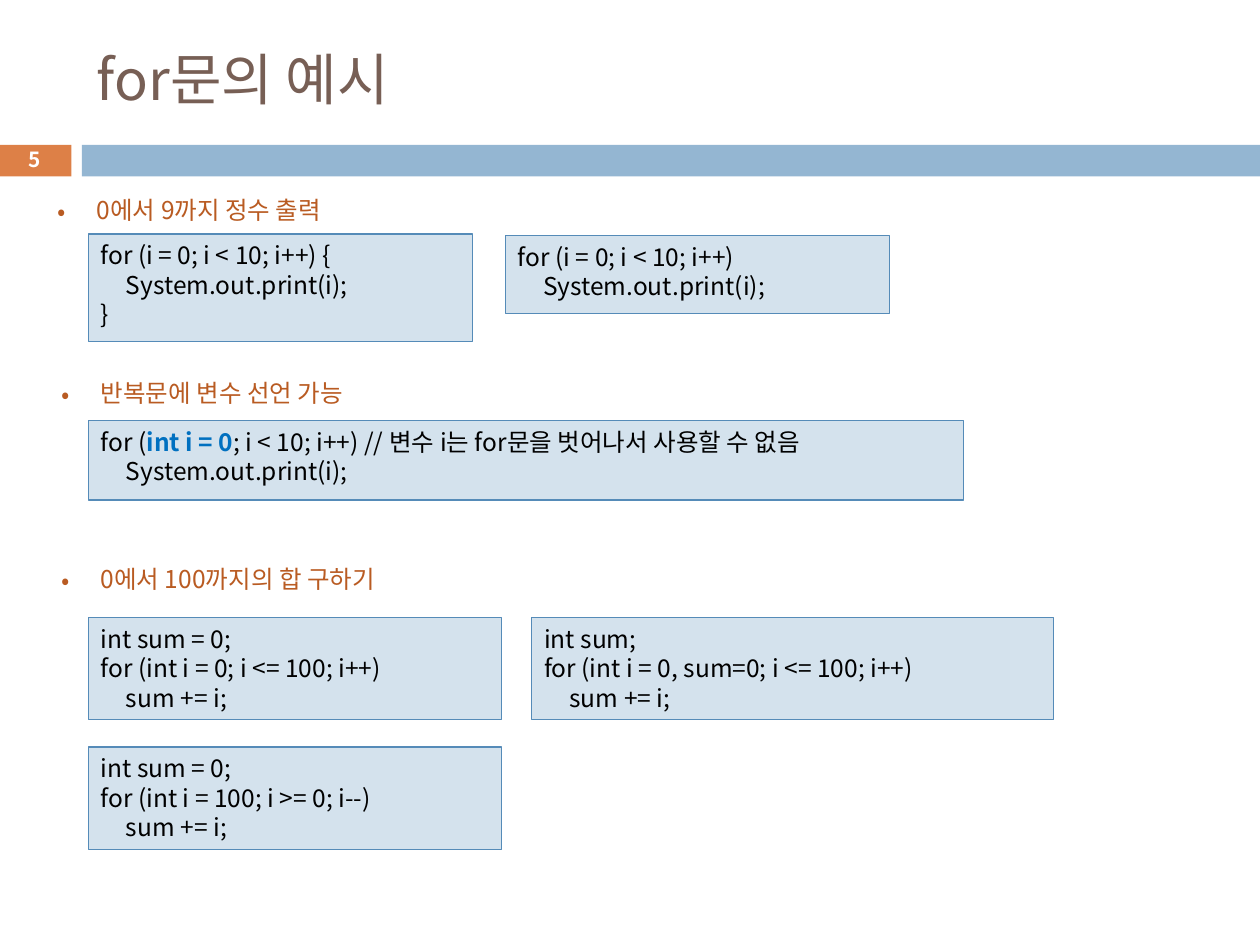
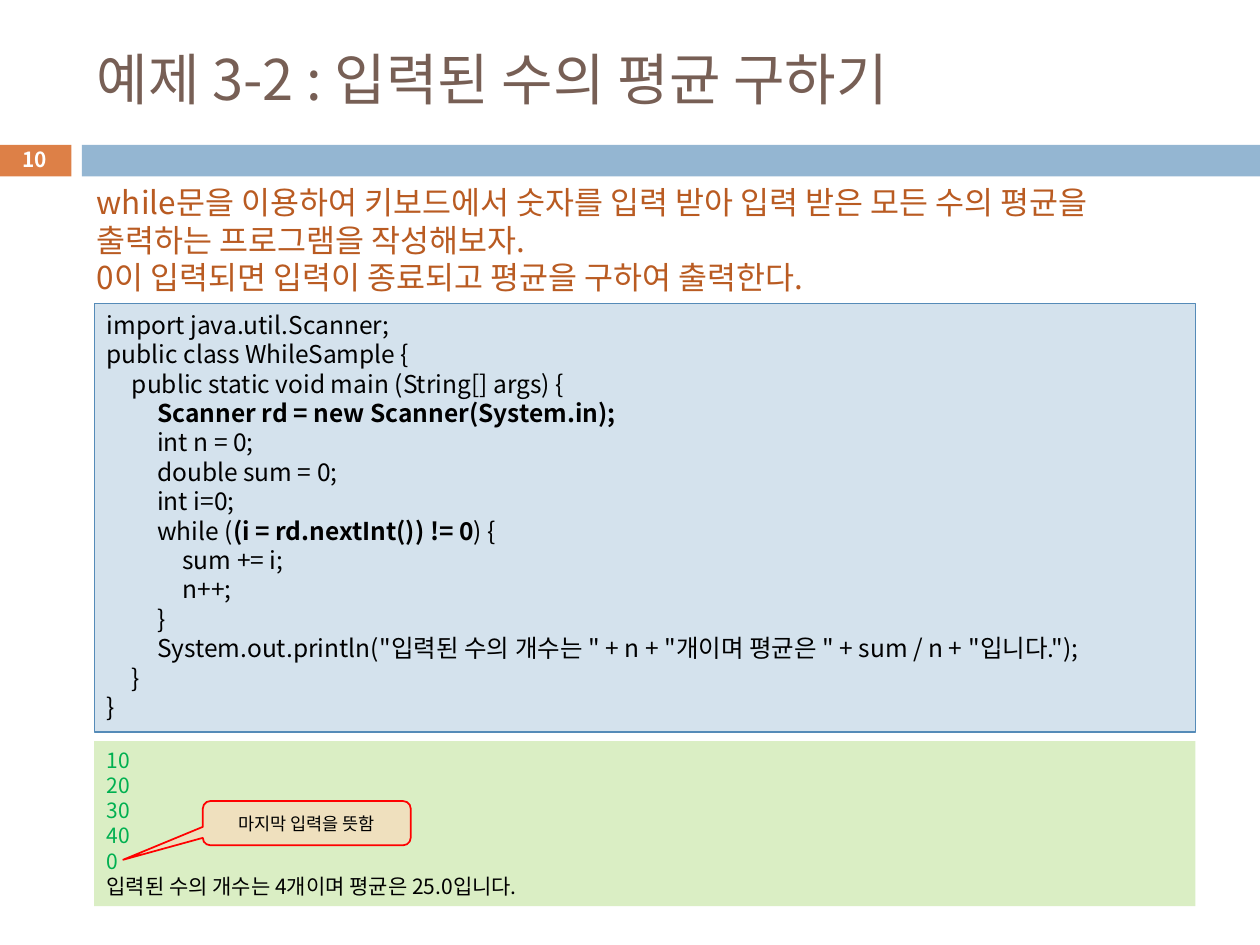
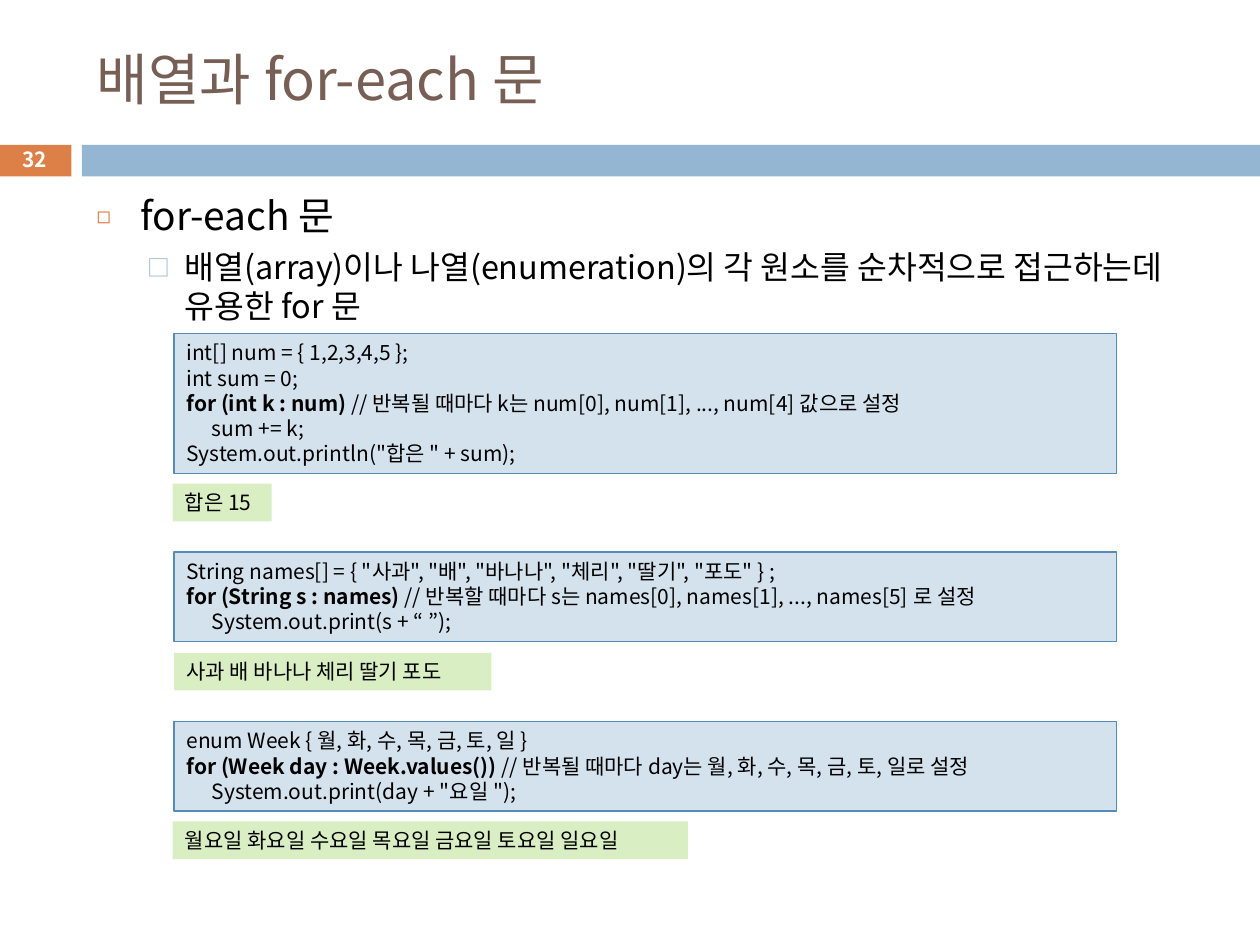
from dataclasses import dataclass
from typing import Any

from lxml.etree import SubElement
from pptx import Presentation
from pptx.dml.color import RGBColor
from pptx.enum.shapes import MSO_SHAPE
from pptx.enum.text import MSO_ANCHOR, MSO_AUTO_SIZE, PP_ALIGN
from pptx.oxml.ns import qn
from pptx.slide import Slide
from pptx.util import Cm, Pt

FONT = "Noto Sans CJK KR"
HUES = {
    "title": "775F55", "rust": "B95B22", "orange": "DD8047", "band": "94B6D2",
    "code": "D4E2ED", "edge": "558BB8", "out": "DAEEC4", "note": "EFE0BE",
    "red": "FF0000", "blue": "0070C0", "green": "00B050",
    "black": "000000", "white": "FFFFFF",
}
TAB = 0.51
STOPS = 3


@dataclass(frozen=True)
class Level:
    size: float
    left: float = 0
    hang: float = 0
    sign: str = ""
    hue: str = ""
    scale: int = 100
    gap: float = 0


@dataclass(frozen=True)
class Kind:
    levels: tuple[Level, ...]
    hue: str = "black"
    fill: str = ""
    edge: str = ""
    width: float = 0.75
    bold: bool = False
    mark: str = "black"
    heavy: bool = True
    align: PP_ALIGN = PP_ALIGN.LEFT
    anchor: MSO_ANCHOR = MSO_ANCHOR.TOP
    form: MSO_SHAPE = MSO_SHAPE.RECTANGLE
    bends: tuple[float, ...] = ()


@dataclass(frozen=True)
class Box:
    kind: Kind
    left: float
    top: float
    width: float
    height: float
    text: str = ""


@dataclass(frozen=True)
class Page:
    title: str
    number: int
    boxes: tuple[Box, ...]


MIDDLE = MSO_ANCHOR.MIDDLE
CENTER = PP_ALIGN.CENTER
TITLE = Kind((Level(32),), "title", anchor=MIDDLE)
NUMBER = Kind((Level(11.9),), "white", bold=True, align=CENTER, anchor=MIDDLE)
CODE = Kind((Level(14),), fill="code", edge="edge")
HOT = Kind((Level(14),), fill="code", edge="edge", mark="blue")
SMALL = Kind((Level(12),), fill="code", edge="edge")
OUT = Kind((Level(12),), fill="out", mark="green", heavy=False)
POINT = Kind((Level(14, 0.79, -0.79, "•", "rust"),), "rust")
TASK = Kind((Level(18),), "rust")
BODY = Kind((
    Level(22.2, 0.89, -0.89, "◻", "orange", 60),
    Level(18.5, 1.78, -0.76, "□", "band", 70, 5.5),
))
NOTE = Kind((Level(10),), fill="note", edge="red", width=1, align=CENTER, anchor=MIDDLE,
            form=MSO_SHAPE.ROUNDED_RECTANGULAR_CALLOUT, bends=(-0.884, 0.83, 0.167))
BANDS = (
    Box(Kind((), fill="orange"), -0.03, 2.92, 1.47, 0.64),
    Box(Kind((), fill="band"), 1.65, 2.92, 23.75, 0.64),
)

PAGES = (
    Page("for문의 예시", 5, (
        Box(POINT, 0.91, 3.81, 6.55, 0.86, "0에서 9까지 정수 출력"),
        Box(CODE, 1.78, 4.72, 7.75, 2.16, """for (i = 0; i < 10; i++) {
    System.out.print(i);
}"""),
        Box(CODE, 10.19, 4.75, 7.75, 1.57, """for (i = 0; i < 10; i++)
    System.out.print(i);"""),
        Box(POINT, 0.99, 7.49, 6.83, 0.86, "반복문에 변수 선언 가능"),
        Box(HOT, 1.78, 8.48, 17.65, 1.6,
            """for (**int i = 0**; i < 10; i++) // 변수 i는 for문을 벗어나서 사용할 수 없음
    System.out.print(i);"""),
        Box(POINT, 0.99, 11.25, 7.42, 0.86, "0에서 100까지의 합 구하기"),
        Box(CODE, 1.78, 12.45, 8.33, 2.06, """int sum = 0;
for (int i = 0; i <= 100; i++)
    sum += i;"""),
        Box(CODE, 10.72, 12.45, 10.52, 2.06, """int sum;
for (int i = 0, sum=0; i <= 100; i++)
    sum += i;"""),
        Box(CODE, 1.78, 15.06, 8.33, 2.06, """int sum = 0;
for (int i = 100; i >= 0; i--)
    sum += i;"""),
    )),
    Page("예제 3-2 : 입력된 수의 평균 구하기", 10, (
        Box(TASK, 1.7, 3.56, 21.72, 2.57,
            """while문을 이용하여 키보드에서 숫자를 입력 받아 입력 받은 모든 수의 평균을 출력하는 프로그램을 작성해보자.
0이 입력되면 입력이 종료되고 평균을 구하여 출력한다."""),
        Box(CODE, 1.9, 6.12, 22.2, 8.64, """import java.util.Scanner;
public class WhileSample {
    public static void main (String[] args) {
        **Scanner rd = new Scanner(System.in);**
        int n = 0;
        double sum = 0;
        int i=0;
        while (**(i = rd.nextInt()) != 0**) {
            sum += i;
            n++;
        }
        System.out.println("입력된 수의 개수는 " + n + "개이며 평균은 " + sum / n + "입니다.");
    }
}"""),
        Box(OUT, 1.9, 14.94, 22.2, 3.33, """**10**
**20**
**30**
**40**
**0**
입력된 수의 개수는 4개이며 평균은 25.0입니다."""),
        Box(NOTE, 4.09, 16.15, 4.19, 0.89, "마지막 입력을 뜻함"),
    )),
    Page("배열과 for-each 문", 32, (
        Box(BODY, 1.7, 3.73, 22.66, 2.59, """for-each 문
배열(array)이나 나열(enumeration)의 각 원소를 순차적으로 접근하는데 유용한 for 문"""),
        Box(SMALL, 3.51, 6.73, 19, 2.82, """int[] num = { 1,2,3,4,5 };
int sum = 0;
**for (int k : num) **// 반복될 때마다 k는 num[0], num[1], ..., num[4] 값으로 설정
    sum += k;
System.out.println("합은 " + sum);"""),
        Box(OUT, 3.48, 9.75, 2, 0.76, "합은 15"),
        Box(SMALL, 3.51, 11.13, 19, 1.8,
            """String names[] = { "사과", "배", "바나나", "체리", "딸기", "포도" } ;
**for (String s : names) **// 반복할 때마다 s는 names[0], names[1], ..., names[5] 로 설정
    System.out.print(s + “ ”);"""),
        Box(OUT, 3.51, 13.16, 6.4, 0.76, "사과 배 바나나 체리 딸기 포도"),
        Box(SMALL, 3.51, 14.55, 19, 1.8, """enum Week { 월, 화, 수, 목, 금, 토, 일 }
**for (Week day : Week.values()) **// 반복될 때마다 day는 월, 화, 수, 목, 금, 토, 일로 설정
    System.out.print(day + "요일 ");"""),
        Box(OUT, 3.48, 16.56, 10.39, 0.76, "월요일 화요일 수요일 목요일 금요일 토요일 일요일"),
    )),
)


def apply(target: Any, values: dict[str, Any]) -> None:
    for name, value in values.items():
        setattr(target, name, value)


def tint(hue: str) -> RGBColor:
    return RGBColor.from_string(HUES[hue])


def paint(shape: Any, kind: Kind) -> None:
    shape.shadow.inherit = False
    shape.fill.solid()
    shape.fill.fore_color.rgb = tint(kind.fill)
    if kind.edge:
        shape.line.color.rgb = tint(kind.edge)
        shape.line.width = Pt(kind.width)
    else:
        shape.line.fill.background()
    for spot, bend in enumerate(kind.bends):
        shape.adjustments[spot] = bend


def indent(para: Any, level: Level, tabbed: bool) -> None:
    props = para._p.get_or_add_pPr()
    if level.sign:
        props.set("marL", str(Cm(level.left)))
        props.set("indent", str(Cm(level.hang)))
        color = SubElement(props, qn("a:buClr"))
        SubElement(color, qn("a:srgbClr"), val=HUES[level.hue])
        SubElement(props, qn("a:buSzPct"), val=str(level.scale * 1000))
        SubElement(props, qn("a:buFont"), typeface=FONT)
        SubElement(props, qn("a:buChar"), char=level.sign)
    if tabbed:
        stops = SubElement(props, qn("a:tabLst"))
        for step in range(1, STOPS + 1):
            SubElement(stops, qn("a:tab"), pos=str(Cm(TAB * step)), algn="l")


def write(para: Any, line: str, kind: Kind, level: Level) -> None:
    text = line.replace("    ", "\t")
    indent(para, level, "\t" in text)
    apply(para, {"alignment": kind.align, "space_before": Pt(level.gap)})
    for turn, part in enumerate(text.split("**")):
        if not part:
            continue
        marked = turn % 2 == 1
        run = para.add_run()
        run.text = part
        bold = kind.heavy if marked else kind.bold
        apply(run.font, {"name": FONT, "size": Pt(level.size), "bold": bold})
        run.font.color.rgb = tint(kind.mark if marked else kind.hue)
        SubElement(run._r.get_or_add_rPr(), qn("a:ea"), typeface=FONT)


def draw(slide: Slide, box: Box) -> None:
    kind = box.kind
    place = [Cm(size) for size in (box.left, box.top, box.width, box.height)]
    if kind.fill:
        shape = slide.shapes.add_shape(kind.form, *place)
        paint(shape, kind)
    else:
        shape = slide.shapes.add_textbox(*place)
    if not box.text:
        return
    frame = shape.text_frame
    apply(frame, {"word_wrap": True, "auto_size": MSO_AUTO_SIZE.NONE,
                  "vertical_anchor": kind.anchor})
    for row, line in enumerate(box.text.split("\n")):
        para = frame.add_paragraph() if row else frame.paragraphs[0]
        write(para, line, kind, kind.levels[min(row, len(kind.levels) - 1)])


def main() -> None:
    deck = Presentation()
    apply(deck, {"slide_width": Cm(25.4), "slide_height": Cm(19.05)})
    for page in PAGES:
        slide = deck.slides.add_slide(deck.slide_layouts[6])
        heads = (
            Box(TITLE, 1.7, 0.64, 22.66, 1.88, page.title),
            Box(NUMBER, -0.03, 2.87, 1.47, 0.69, str(page.number)),
        )
        for box in BANDS + heads + page.boxes:
            draw(slide, box)
    deck.save("out.pptx")


if __name__ == "__main__":
    main()
